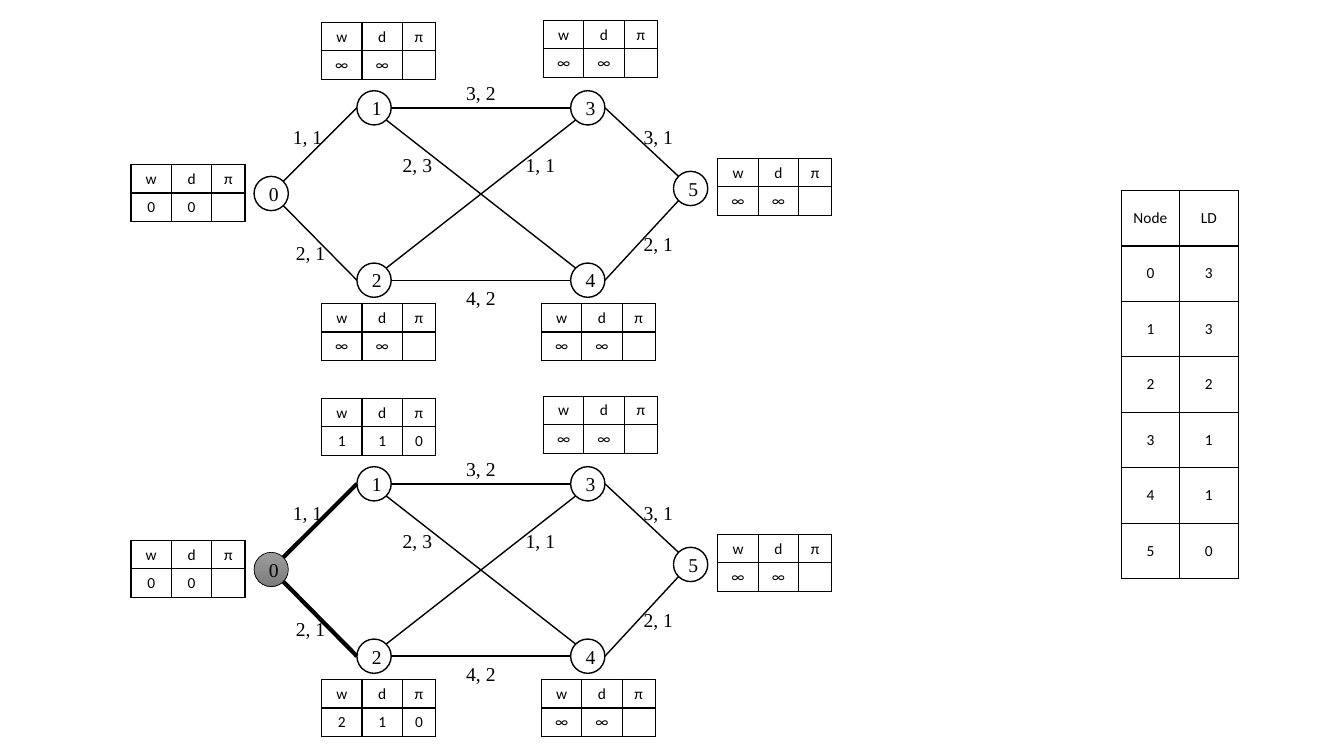
"""Build a slide with two stages of a weighted network, node tables and an LD table."""
import lxml.etree
import pptx
import pptx.dml.color
import pptx.enum.shapes
import pptx.enum.text
import pptx.oxml.ns
import pptx.util

Inches = pptx.util.Inches
qn = pptx.oxml.ns.qn

THEME = {
    "ink": "000000", "paper": "FFFFFF", "settled": ("9D9D9D", "7C7C7C"),
    "graph": {"name": "Times New Roman", "size": pptx.util.Pt(14)},
    "table": {"name": "Calibri", "size": pptx.util.Pt(11)},
    "thin": 1, "thick": 3, "settled line": 0.5,
}

NODES = {"0": (2.69, 1.92), "2": (3.71, 2.78), "1": (3.71, 1.07),
         "3": (5.83, 1.07), "4": (5.83, 2.78), "5": (6.85, 1.87)}
EDGES = [("0", "NE", "1", "W"), ("1", "E", "3", "W"), ("3", "E", "5", "NW"),
         ("0", "SE", "2", "W"), ("2", "E", "4", "W"), ("4", "E", "5", "SW"),
         ("1", "SE", "4", "NW"), ("2", "NE", "3", "SW")]
EDGE_LABELS = [("1, 1", 2.73, 1.19), ("2, 1", 2.76, 2.34), ("3, 2", 4.45, 0.75),
               ("4, 2", 4.45, 2.79), ("2, 3", 3.82, 1.47), ("1, 1", 5.04, 1.47),
               ("3, 1", 6.21, 1.19), ("2, 1", 6.21, 2.25)]
TABLE_PLACES = {"1": (3.19, 0.22), "0": (1.3, 1.63), "2": (3.19, 3.01),
                "3": (5.39, 0.2), "4": (5.37, 3.01), "5": (7.12, 1.57)}
HEADINGS = ("w", "d", "π")
UNREACHED = ("∞", "∞", "")
STAGES = [
    {"top": 0, "settled": (), "known": {"0": ("0", "0", "")}},
    {"top": 3.73, "settled": ("0",),
     "known": {"0": ("0", "0", ""), "1": ("1", "1", "0"), "2": ("2", "1", "0")}},
]
LD_ROWS = [("Node", "LD"), ("0", "3"), ("1", "3"), ("2", "2"),
           ("3", "1"), ("4", "1"), ("5", "0")]

RADIUS = 0.17
DIAGONAL = 0.12
LABEL_SIZE = (0.64, 0.34)
PORTS = {"E": (RADIUS, 0), "W": (-RADIUS, 0),
         "NE": (DIAGONAL, -DIAGONAL), "SE": (DIAGONAL, DIAGONAL),
         "NW": (-DIAGONAL, -DIAGONAL), "SW": (-DIAGONAL, DIAGONAL)}


def colour(value):
    return pptx.dml.color.RGBColor.from_string(value)


def draw_line(line, points):
    line.color.rgb = colour(THEME["ink"])
    line.width = pptx.util.Pt(points)


def write(frame, text, style):
    para = frame.paragraphs[0]
    para.alignment = pptx.enum.text.PP_ALIGN.CENTER
    if text:
        span = para.add_run()
        span.text = text
        for name, value in THEME[style].items():
            setattr(span.font, name, value)
        span.font.color.rgb = colour(THEME["ink"])
    else:
        ending = lxml.etree.SubElement(para._p, qn("a:endParaRPr"))
        ending.set("sz", str(int(THEME[style]["size"].pt * 100)))


def add_node(group, name, centre, top, settled):
    x, y = centre
    node = group.shapes.add_shape(
        pptx.enum.shapes.MSO_SHAPE.OVAL, Inches(x - RADIUS), Inches(y - RADIUS + top),
        Inches(2 * RADIUS), Inches(2 * RADIUS))
    node.shadow.inherit = False
    if settled:
        node.fill.gradient()
        node.fill.gradient_angle = 270
        for stop, value in zip(node.fill.gradient_stops, THEME["settled"]):
            stop.color.rgb = colour(value)
    else:
        node.fill.solid()
        node.fill.fore_color.rgb = colour(THEME["paper"])
    draw_line(node.line, THEME["settled line" if settled else "thin"])
    node.text_frame.vertical_anchor = pptx.enum.text.MSO_ANCHOR.MIDDLE
    write(node.text_frame, name, "graph")


def add_edge(group, edge, top, settled):
    start, start_port, end, end_port = edge
    ends = [Inches(value + shift + drop)
            for node, port in ((start, start_port), (end, end_port))
            for value, shift, drop in zip(NODES[node], PORTS[port], (0, top))]
    link = group.shapes.add_connector(pptx.enum.shapes.MSO_CONNECTOR.STRAIGHT, *ends)
    lxml.etree.SubElement(link._element.spPr, qn("a:effectLst"))
    draw_line(link.line, THEME["thick" if settled else "thin"])


def add_label(group, text, left, top):
    box = group.shapes.add_textbox(Inches(left), Inches(top), *map(Inches, LABEL_SIZE))
    box.text_frame.word_wrap = True
    box.text_frame.auto_size = pptx.enum.text.MSO_AUTO_SIZE.SHAPE_TO_FIT_TEXT
    write(box.text_frame, text, "graph")


def add_borders(cell):
    properties = cell._tc.get_or_add_tcPr()
    for side in ("lnL", "lnR", "lnT", "lnB"):
        border = lxml.etree.SubElement(properties, qn("a:" + side))
        border.set("w", str(pptx.util.Pt(THEME["thin"])))
        fill = lxml.etree.SubElement(border, qn("a:solidFill"))
        lxml.etree.SubElement(fill, qn("a:srgbClr")).set("val", THEME["ink"])


def add_grid(page, rows, left, top, widths, height):
    grid = page.shapes.add_table(
        len(rows), len(widths), Inches(left), Inches(top),
        Inches(sum(widths)), Inches(height * len(rows))).table
    grid.first_row = grid.horz_banding = False
    for column, width in zip(grid.columns, widths):
        column.width = Inches(width)
    for row, texts in zip(grid.rows, rows):
        row.height = Inches(height)
        for cell, text in zip(row.cells, texts):
            cell.vertical_anchor = pptx.enum.text.MSO_ANCHOR.MIDDLE
            add_borders(cell)
            cell.fill.background()
            write(cell.text_frame, text, "table")


def add_stage(page, stage):
    top, settled = stage["top"], stage["settled"]
    group = page.shapes.add_group_shape()
    for name, centre in NODES.items():
        add_node(group, name, centre, top, name in settled)
    for edge in EDGES:
        add_edge(group, edge, top, edge[0] in settled)
    for text, left, drop in EDGE_LABELS:
        add_label(group, text, left, drop + top)
    for name, (left, drop) in TABLE_PLACES.items():
        rows = [HEADINGS, stage["known"].get(name, UNREACHED)]
        add_grid(page, rows, left, drop + top, (0.4, 0.4, 0.33), 0.28)


def main():
    deck = pptx.Presentation()
    deck.slide_width, deck.slide_height = Inches(13.33), Inches(7.5)
    page = deck.slides.add_slide(deck.slide_layouts[6])
    for stage in STAGES:
        add_stage(page, stage)
    add_grid(page, LD_ROWS, 11.12, 1.89, (0.58, 0.58), 0.55)
    deck.save("out.pptx")


if __name__ == "__main__":
    main()
